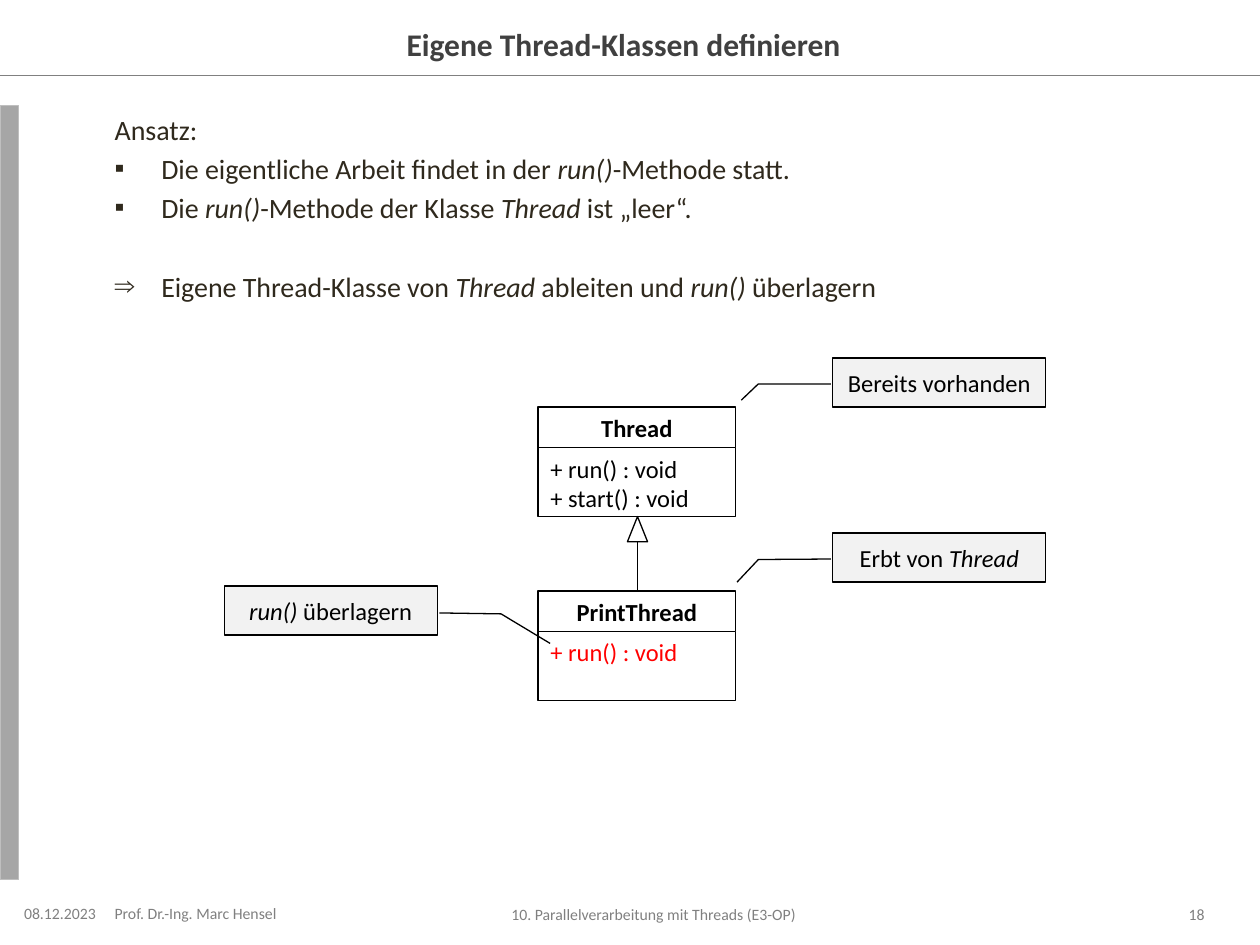
"""Build the slide on defining custom thread classes."""
from dataclasses import dataclass

from lxml.etree import SubElement
from pptx import Presentation
from pptx.dml.color import RGBColor
from pptx.enum.shapes import MSO_CONNECTOR, MSO_SHAPE
from pptx.enum.text import MSO_ANCHOR, MSO_AUTO_SIZE, PP_ALIGN
from pptx.oxml.ns import qn
from pptx.util import Inches, Pt


@dataclass(frozen=True)
class Theme:
    font: str = "Calibri"
    title_size: float = 18
    body_size: float = 16
    diagram_size: float = 14
    footer_size: float = 9
    title: str = "404040"
    body: str = "2F291D"
    ink: str = "000000"
    accent: str = "FF0000"
    muted: str = "808080"
    bar: str = "A6A6A6"
    bar_edge: str = "BFBFBF"
    paper: str = "FFFFFF"
    note: str = "F2F2F2"
    line_width: float = 0.75


theme = Theme()


def write_text(shape, text, size=theme.diagram_size, color=theme.ink, bold=False,
               align=PP_ALIGN.LEFT, anchor=MSO_ANCHOR.TOP, left=0.1, right=0.1,
               bullets=(), spaces=()):
    frame = shape.text_frame
    frame.word_wrap = True
    frame.auto_size = MSO_AUTO_SIZE.NONE
    frame.vertical_anchor = anchor
    frame.margin_left, frame.margin_right = Inches(left), Inches(right)
    frame.margin_top = frame.margin_bottom = Inches(0.05)
    for index, line in enumerate(text.split("\n")):
        paragraph = frame.add_paragraph() if index else frame.paragraphs[0]
        properties = paragraph._p.get_or_add_pPr()
        bullet = bullets[index] if bullets else ""
        indent = Inches(0.37) if bullet else 0
        properties.set("marL", str(indent))
        properties.set("indent", str(-indent))
        if bullet:
            SubElement(properties, qn("a:buChar")).set("char", bullet)
        else:
            SubElement(properties, qn("a:buNone"))
        paragraph.alignment = align
        paragraph.space_before = Pt(spaces[index] if spaces else 0)
        for part, words in enumerate(line.split("*")):
            if words:
                run = paragraph.add_run()
                run.text = words
                run.font.name, run.font.size = theme.font, Pt(size)
                run.font.bold, run.font.italic = bold, part % 2 == 1
                run.font.color.rgb = RGBColor.from_string(color)


def add_box(kind, left, top, width, height, fill=theme.paper, edge=theme.ink):
    shape = slide.shapes.add_shape(kind, Inches(left), Inches(top), Inches(width), Inches(height))
    shape.shadow.inherit = False
    shape.fill.solid()
    shape.fill.fore_color.rgb = RGBColor.from_string(fill)
    shape.line.color.rgb = RGBColor.from_string(edge)
    shape.line.width = Pt(theme.line_width)
    return shape


presentation = Presentation()
presentation.slide_width, presentation.slide_height = Inches(10), Inches(7.5)
slide = presentation.slides.add_slide(presentation.slide_layouts[1])

title = slide.shapes.title
title.left, title.top, title.width, title.height = map(Inches, (1.24, 0.15, 7.52, 0.39))
write_text(title, "Eigene Thread-Klassen definieren", size=theme.title_size, color=theme.title,
           bold=True, align=PP_ALIGN.CENTER, anchor=MSO_ANCHOR.MIDDLE, left=0)

body = slide.placeholders[1]
body.left, body.top, body.width, body.height = map(Inches, (0.91, 0.84, 8.66, 6.14))
write_text(body, "Ansatz:\n"
           "Die eigentliche Arbeit findet in der *run()*-Methode statt.\n"
           "Die *run()*-Methode der Klasse *Thread* ist „leer“.\n"
           "Eigene Thread-Klasse von *Thread* ableiten und *run()* überlagern",
           size=theme.body_size, color=theme.body, left=0,
           bullets=("", "▪", "▪", "⇒"), spaces=(0, 3.2, 3.2, 25.9))

add_box(MSO_SHAPE.RECTANGLE, 0, 0.84, 0.15, 6.14, theme.bar, theme.bar_edge)

footers = [
    ("08.12.2023", 0.15, 7.17, 0.75, PP_ALIGN.CENTER, 0, 0.1),
    ("Prof. Dr.-Ing. Marc Hensel", 0.91, 7.17, 1.5, PP_ALIGN.LEFT, 0, 0.1),
    ("10. Parallelverarbeitung mit Threads (E3-OP)", 2.48, 7.18, 5.51, PP_ALIGN.CENTER, 0, 0.1),
    ("18", 8.92, 7.18, 0.64, PP_ALIGN.RIGHT, 0.1, 0),
]
for text, left, top, width, align, inset_left, inset_right in footers:
    footer = slide.shapes.add_textbox(Inches(left), Inches(top), Inches(width), Inches(0.15))
    write_text(footer, text, size=theme.footer_size, color=theme.muted, align=align,
               anchor=MSO_ANCHOR.MIDDLE, left=inset_left, right=inset_right)

classes = [
    ("Thread", "+ run() : void\n+ start() : void", 3.23, theme.ink),
    ("PrintThread", "+ run() : void", 4.69, theme.accent),
]
for name, methods, top, color in classes:
    header = add_box(MSO_SHAPE.RECTANGLE, 4.27, top, 1.57, 0.32)
    write_text(header, name, bold=True, align=PP_ALIGN.CENTER)
    members = add_box(MSO_SHAPE.RECTANGLE, 4.27, top + 0.32, 1.57, 0.55)
    write_text(members, methods, color=color)

lines = [
    ((0, 0.6), (10, 0.6), theme.muted),
    ((5.06, 4.69), (5.06, 4.1), theme.ink),
]
for start, end, color in lines:
    connector = slide.shapes.add_connector(MSO_CONNECTOR.STRAIGHT, *map(Inches, start + end))
    connector.line.color.rgb = RGBColor.from_string(color)
    connector.line.width = Pt(theme.line_width)
    SubElement(connector._element.spPr, qn("a:effectLst"))
add_box(MSO_SHAPE.ISOSCELES_TRIANGLE, 4.98, 4.1, 0.16, 0.2)

callouts = [
    ("Bereits vorhanden", 6.61, 2.84, (0.53, -0.01, 0.53, -0.35, 0.86, -0.43)),
    ("Erbt von *Thread*", 6.61, 4.23, (0.53, -0.01, 0.54, -0.35, 1, -0.45)),
    ("*run()* überlagern", 1.78, 4.65, (0.55, 1.01, 0.57, 1.3, 1.17, 1.53)),
]
for text, left, top, leader in callouts:
    callout = add_box(MSO_SHAPE.LINE_CALLOUT_2, left, top, 1.69, 0.39, theme.note)
    for index, value in enumerate(leader):
        callout.adjustments[index] = value
    write_text(callout, text, align=PP_ALIGN.CENTER, anchor=MSO_ANCHOR.MIDDLE)

presentation.save("out.pptx")
